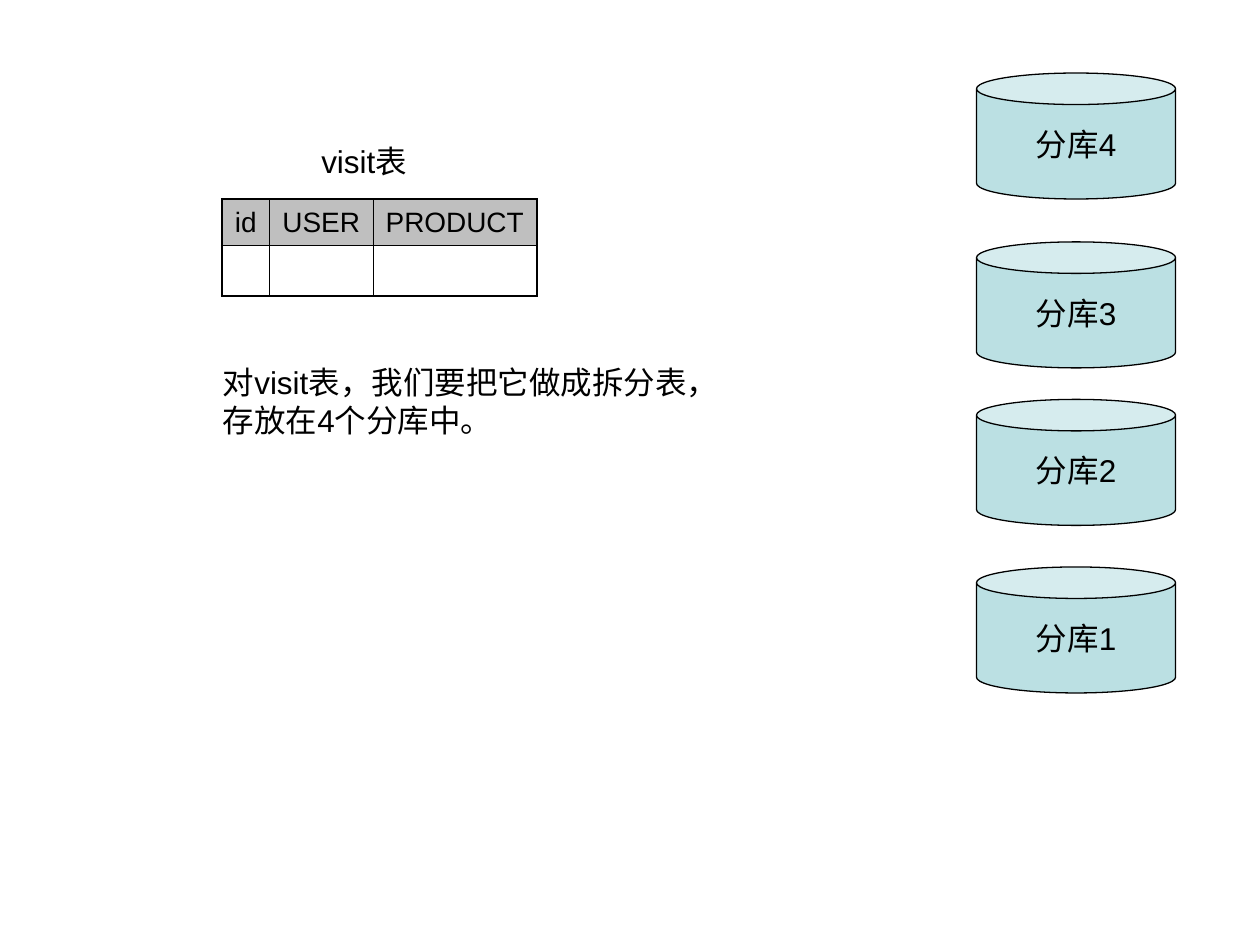
from lxml.etree import SubElement
from pptx import Presentation
from pptx.dml.color import RGBColor
from pptx.enum.shapes import MSO_SHAPE
from pptx.enum.text import MSO_ANCHOR, PP_ALIGN
from pptx.oxml import parse_xml
from pptx.oxml.ns import nsdecls, qn
from pptx.util import Inches, Pt

COLORS = {"ink": "000000", "header": "808080", "database": "BBE0E3"}


def write_text(frame, text, size=18, align=PP_ALIGN.LEFT):
    para = frame.paragraphs[0]
    para.alignment = align
    span = para.add_run()
    span.text = text
    span.font.name = "Arial"
    span.font.size = Pt(size)
    span.font.color.rgb = RGBColor.from_string(COLORS["ink"])


def add_border(cell, side, width):
    border = parse_xml(
        f'<a:{side} {nsdecls("a")} w="{Pt(width)}"><a:solidFill>'
        f'<a:srgbClr val="{COLORS["ink"]}"/></a:solidFill></a:{side}>')
    cell._tc.get_or_add_tcPr().append(border)


deck = Presentation()
deck.slide_width, deck.slide_height = Inches(10), Inches(7.5)
page = deck.slides.add_slide(deck.slide_layouts[6])

# Table caption and explanation; the wide right inset sets the line break
for text, left, top, width, height, inset, align in [
    ("visit表", 2.1, 1.08, 1.58, 0.4, 0.1, PP_ALIGN.CENTER),
    ("对visit表，我们要把它做成拆分表，存放在4个分库中。", 1.67, 2.83, 4.17, 0.7, 0.35, PP_ALIGN.LEFT),
]:
    box = page.shapes.add_textbox(Inches(left), Inches(top), Inches(width), Inches(height))
    box.text_frame.word_wrap = True
    box.text_frame.margin_right = Inches(inset)
    write_text(box.text_frame, text, align=align)

# Visit table
headers = ["id", "USER", "PRODUCT"]
column_widths = [0.38, 0.82, 1.3]
row_heights = [0.37, 0.38]
table = page.shapes.add_table(
    len(row_heights), len(headers), Inches(1.76), Inches(1.58),
    Inches(sum(column_widths)), Inches(sum(row_heights))).table
table.first_row = table.horz_banding = False
for column, width in zip(table.columns, column_widths):
    column.width = Inches(width)
for row, height in zip(table.rows, row_heights):
    row.height = Inches(height)

last_row, last_column = len(row_heights) - 1, len(headers) - 1
for r, row in enumerate(table.rows):
    for c, cell in enumerate(row.cells):
        # Outer edges are heavier than the inner grid
        edges = {"lnL": c == 0, "lnR": c == last_column, "lnT": r == 0, "lnB": r == last_row}
        for side, outer in edges.items():
            add_border(cell, side, 1.08 if outer else 0.45)
        cell.vertical_anchor = MSO_ANCHOR.MIDDLE
        # Slim side insets keep each header on one line
        cell.margin_left = cell.margin_right = Inches(0.09)
        if r == 0:
            cell.fill.solid()
            cell.fill.fore_color.rgb = RGBColor.from_string(COLORS["header"])
            tint = cell._tc.tcPr.find(qn("a:solidFill")).find(qn("a:srgbClr"))
            SubElement(tint, qn("a:alpha")).set("val", "50000")
            write_text(cell.text_frame, headers[c], size=16, align=PP_ALIGN.CENTER)
        else:
            cell.fill.background()

# Database shards, numbered from the bottom up
for number, top in enumerate([4.5, 3.17, 1.92, 0.58], start=1):
    database = page.shapes.add_shape(
        MSO_SHAPE.CAN, Inches(7.75), Inches(top), Inches(1.58), Inches(1))
    database.shadow.inherit = False
    database.adjustments[0] = 0.25
    database.fill.solid()
    database.fill.fore_color.rgb = RGBColor.from_string(COLORS["database"])
    database.line.color.rgb = RGBColor.from_string(COLORS["ink"])
    database.line.width = Pt(0.75)
    database.text_frame.word_wrap = False
    database.text_frame.vertical_anchor = MSO_ANCHOR.MIDDLE
    write_text(database.text_frame, f"分库{number}", align=PP_ALIGN.CENTER)

deck.save("out.pptx")
